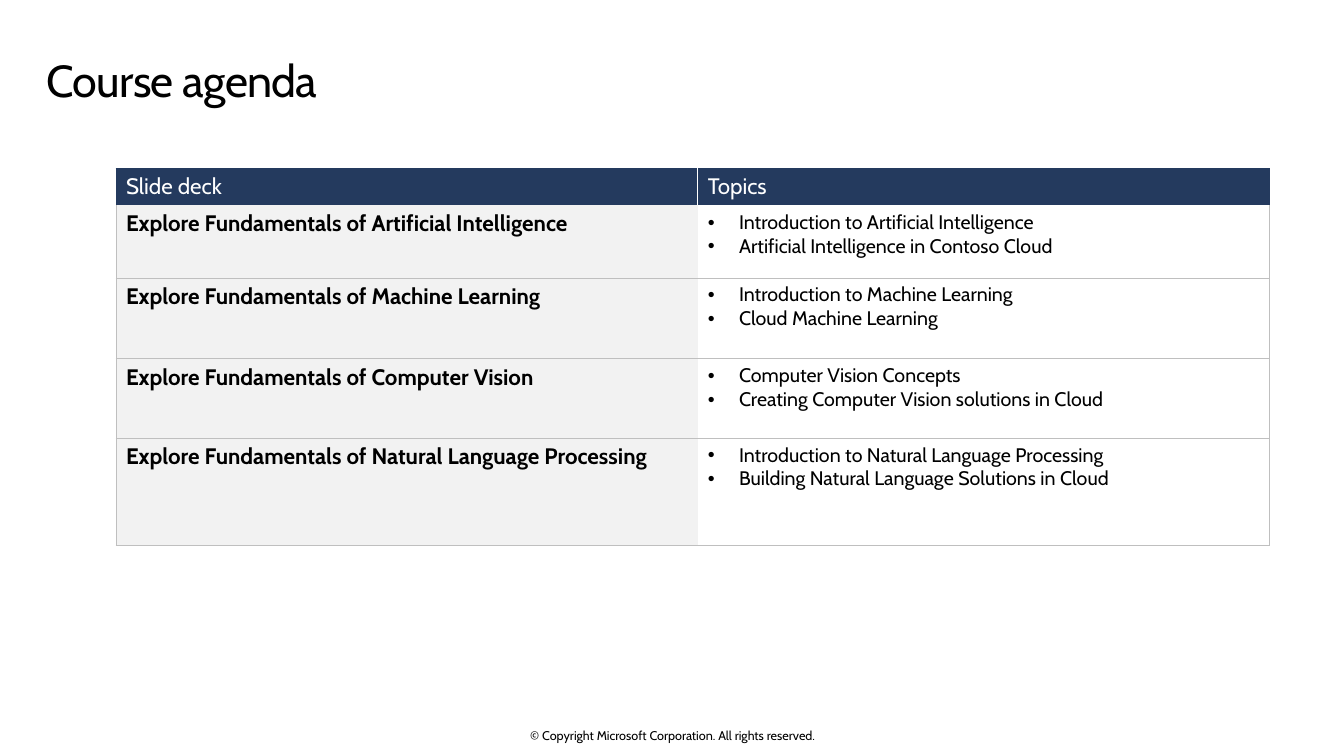
from lxml import etree
from pptx import Presentation
from pptx.dml.color import RGBColor
from pptx.enum.text import MSO_ANCHOR, PP_ALIGN
from pptx.oxml.ns import qn
from pptx.util import Inches, Pt

TOP, MIDDLE = MSO_ANCHOR.TOP, MSO_ANCHOR.MIDDLE
CENTER = PP_ALIGN.CENTER

TITLE = "Course agenda"
COPYRIGHT = "© Copyright Microsoft Corporation. All rights reserved."
HEADERS = ("Slide deck", "Topics")
AGENDA = [
    ("Explore Fundamentals of Artificial Intelligence",
     ["Introduction to Artificial Intelligence",
      "Artificial Intelligence in Contoso Cloud"]),
    ("Explore Fundamentals of Machine Learning",
     ["Introduction to Machine Learning", "Cloud Machine Learning"]),
    ("Explore Fundamentals of Computer Vision",
     ["Computer Vision Concepts",
      "Creating Computer Vision solutions in Cloud"]),
    ("Explore Fundamentals of Natural Language Processing",
     ["Introduction to Natural Language Processing",
      "Building Natural Language Solutions in Cloud"]),
]
COLUMN_WIDTHS = (5.77, 5.67)
ROW_HEIGHTS = (0.34, 0.72, 0.8, 0.79, 1.06)
FONT = "Cabin"
BLACK, WHITE, NAVY = "000000", "FFFFFF", "243A5E"
PALE, GREY = "F2F2F2", "BFBFBF"
BULLET_INDENT = Inches(0.31)


def color(hex_code):
    return RGBColor.from_string(hex_code)


def add_span(para, text, size, hex_code=BLACK, bold=False):
    span = para.add_run()
    span.text = text
    font = span.font
    font.name, font.size, font.bold = FONT, Pt(size), bold
    font.color.rgb = color(hex_code)
    return span


def add_box(page, left, top, width, height, margins, anchor):
    """Add a wrapping text box and return its first paragraph."""
    box = page.shapes.add_textbox(*map(Inches, (left, top, width, height)))
    frame = box.text_frame
    frame.word_wrap = True
    frame.vertical_anchor = anchor
    (frame.margin_left, frame.margin_top,
     frame.margin_right, frame.margin_bottom) = map(Inches, margins)
    return frame.paragraphs[0]


def add_bullet(para):
    properties = para._p.get_or_add_pPr()
    properties.set("marL", str(BULLET_INDENT))
    properties.set("indent", str(-BULLET_INDENT))
    etree.SubElement(properties, qn("a:buFont"), typeface="Arial")
    etree.SubElement(properties, qn("a:buChar"), char="•")


def set_borders(cell, left, right, top, bottom):
    """Draw half-point cell edges; None leaves an edge without a line."""
    properties = cell._tc.get_or_add_tcPr()
    edges = zip(("a:lnL", "a:lnR", "a:lnT", "a:lnB"),
                (left, right, top, bottom))
    for place, (tag, hex_code) in enumerate(edges):
        line = etree.Element(qn(tag), w=str(Pt(0.5)))
        if hex_code:
            fill = etree.SubElement(line, qn("a:solidFill"))
            etree.SubElement(fill, qn("a:srgbClr"), val=hex_code)
        else:
            etree.SubElement(line, qn("a:noFill"))
        properties.insert(place, line)


def style_cell(cell, fill, anchor, borders):
    cell.vertical_anchor = anchor
    cell.margin_left = cell.margin_right = Inches(0.1)
    cell.margin_top = cell.margin_bottom = Inches(0.05)
    if fill:
        cell.fill.solid()
        cell.fill.fore_color.rgb = color(fill)
    else:
        cell.fill.background()
    set_borders(cell, *borders)


def add_agenda(page):
    table = page.shapes.add_table(
        len(ROW_HEIGHTS), len(COLUMN_WIDTHS), Inches(1.15), Inches(1.67),
        Inches(sum(COLUMN_WIDTHS)), Inches(sum(ROW_HEIGHTS))).table
    for column, width in zip(table.columns, COLUMN_WIDTHS):
        column.width = Inches(width)
    for row, height in zip(table.rows, ROW_HEIGHTS):
        row.height = Inches(height)

    header_borders = ((NAVY, WHITE, NAVY, None), (WHITE, NAVY, NAVY, None))
    for column, (text, borders) in enumerate(zip(HEADERS, header_borders)):
        cell = table.cell(0, column)
        add_span(cell.text_frame.paragraphs[0], text, 16, WHITE)
        style_cell(cell, NAVY, MIDDLE, borders)

    for row, (module, topics) in enumerate(AGENDA, start=1):
        above = GREY if row > 1 else None
        module_cell, topic_cell = table.cell(row, 0), table.cell(row, 1)
        para = module_cell.text_frame.paragraphs[0]
        para.space_after = Pt(6)
        add_span(para, module, 16, bold=True)
        style_cell(module_cell, PALE, TOP, (GREY, None, above, GREY))

        frame = topic_cell.text_frame
        for number, topic in enumerate(topics):
            para = frame.add_paragraph() if number else frame.paragraphs[0]
            add_bullet(para)
            add_span(para, topic, 14)
        style_cell(topic_cell, None, TOP, (None, GREY, above, GREY))


def main():
    deck = Presentation()
    deck.slide_width, deck.slide_height = Inches(13.33), Inches(7.5)
    page = deck.slides.add_slide(deck.slide_layouts[6])

    copyright_line = add_box(page, 4.42, 7.22, 4.5, 0.15, (0, 0, 0, 0), MIDDLE)
    copyright_line.alignment = CENTER
    add_span(copyright_line, COPYRIGHT, 9)

    title = add_box(page, 0.46, 0.48, 12.4, 0.74, (0, 0.1, 0.16, 0.1), TOP)
    title.line_spacing = 0.9
    span = add_span(title, TITLE, 32)
    span.font._element.set("spc", "-50")

    add_agenda(page)
    deck.save("out.pptx")


if __name__ == "__main__":
    main()
